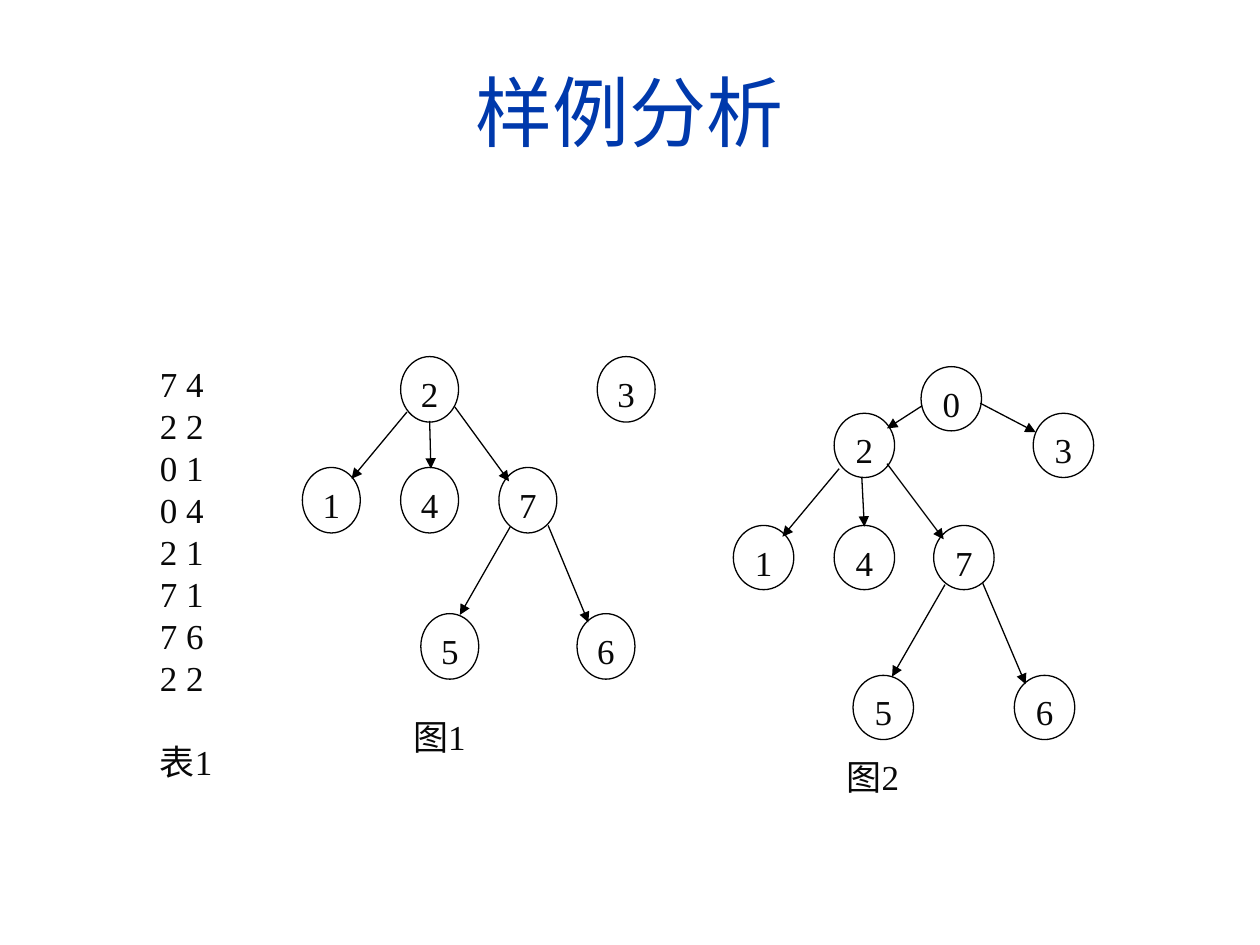
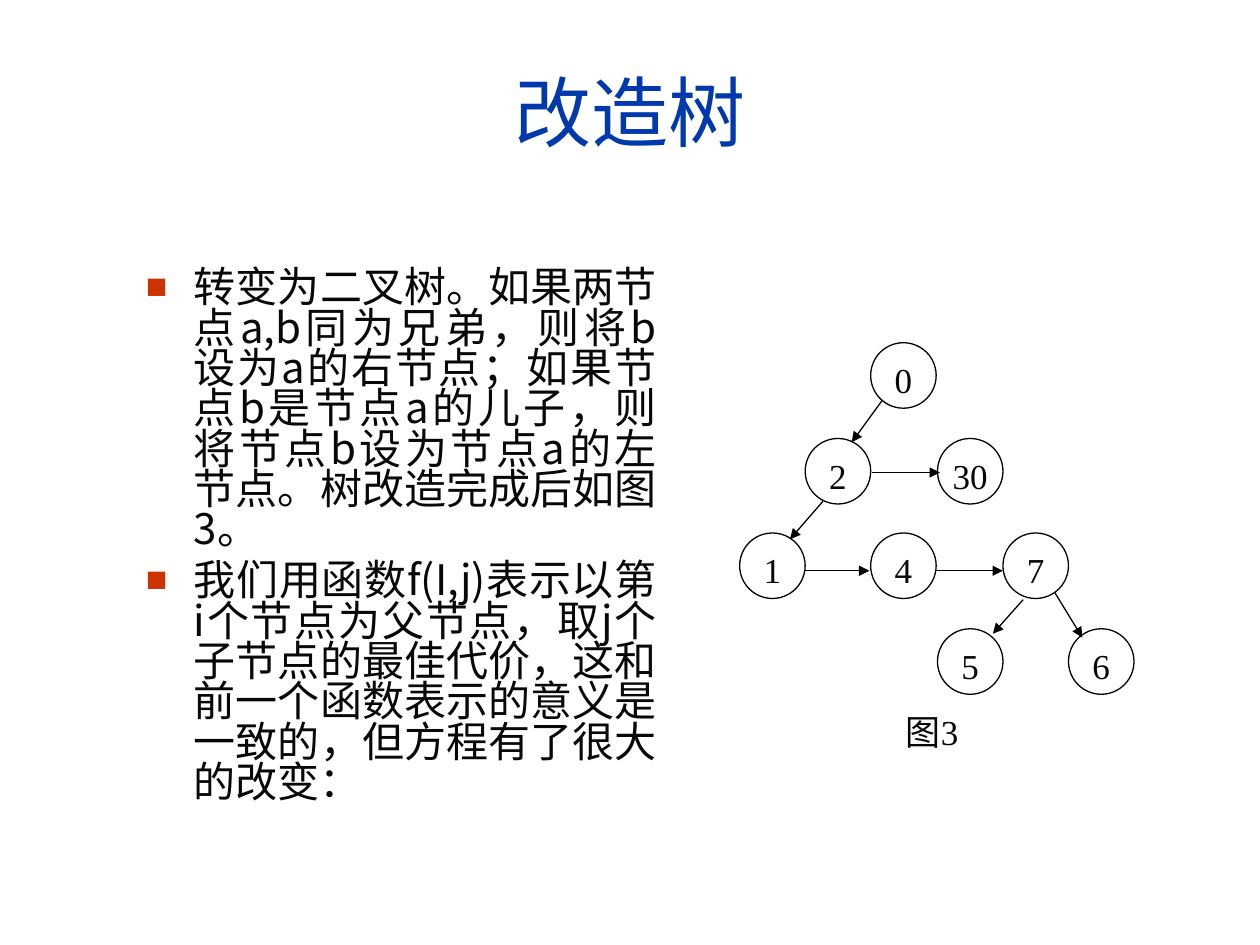
from lxml import etree
from pptx import Presentation
from pptx import util as u
from pptx.dml.color import RGBColor
from pptx.enum import shapes, text
from pptx.oxml.ns import qn

PX = 9144
HUES = {"title": "0039AC", "ink": "080808", "line": "000000", "node": "FFFFFF", "mark": "CC3300"}
CJK = "Noto Sans CJK SC"
ROMAN = "Times New Roman"
JUST = text.PP_ALIGN.JUSTIFY
MID = text.PP_ALIGN.CENTER


def put(slide, box, words, oval=False, font=ROMAN, size=20, hue="ink", align=JUST,
        anchor=text.MSO_ANCHOR.TOP, pitch=None):
    spot = [round(n) * PX for n in box]
    if oval:
        shape = slide.shapes.add_shape(shapes.MSO_SHAPE.OVAL, *spot)
        shape.shadow.inherit = False
        shape.fill.solid()
        shape.fill.fore_color.rgb = RGBColor.from_string(HUES["node"])
        shape.line.color.rgb = RGBColor.from_string(HUES["line"])
        shape.line.width = u.Pt(0.75)
        shape.text_frame.margin_left = shape.text_frame.margin_right = 0
    else:
        shape = slide.shapes.add_textbox(*spot)
    frame = shape.text_frame
    frame.word_wrap = not oval
    frame.vertical_anchor = anchor
    frame.text = words
    for para in frame.paragraphs:
        para.alignment = align
        para.line_spacing = pitch
        for run in para.runs:
            run.font.name = font
            run.font.size = u.Pt(size)
            run.font.color.rgb = RGBColor.from_string(HUES[hue])
            etree.SubElement(run.font._element, qn("a:ea"), typeface=CJK)
    return frame


def draw(slide, nodes, links, grid, size):
    left, top, wide, high = grid
    spots = {}
    for name, (col, row) in nodes.items():
        spots[name] = left + col * wide, top + row * high
        put(slide, (*spots[name], *size), name, oval=True, align=MID)
    for (start, end), (dx, dy, ex, ey) in links.items():
        (ax, ay), (bx, by) = spots[start], spots[end]
        ends = [round(n) * PX for n in (ax + dx, ay + dy, bx + ex, by + ey)]
        link = slide.shapes.add_connector(shapes.MSO_CONNECTOR.STRAIGHT, *ends)
        link.line.color.rgb = RGBColor.from_string(HUES["line"])
        link.line.width = u.Pt(0.75)
        etree.SubElement(link.line._get_or_add_ln(), qn("a:tailEnd"), type="triangle")
        etree.SubElement(link._element.spPr, qn("a:effectLst"))


deck = Presentation()
deck.slide_width = 1000 * PX
deck.slide_height = 750 * PX
pages = []
for title, font in (("样例分析", "Arial"), ("改造树", CJK)):
    page = deck.slides.add_slide(deck.slide_layouts[6])
    put(page, (33, 25, 934, 125), title, font=font, size=44, hue="title",
        align=MID, anchor=text.MSO_ANCHOR.MIDDLE)
    pages.append(page)
first, second = pages

rows = ["7 4", "2 2", "0 1", "0 4", "2 1", "7 1", "7 6", "2 2", "表1"]
table = put(first, (117, 283, 83, 341), "\n".join(rows))
table.paragraphs[-1].space_before = u.Pt(24)

nodes = {"2": (5, 0), "1": (0, 3), "5": (6, 7), "7": (10, 3),
         "3": (15, 0), "4": (5, 3), "6": (14, 7)}
links = {("2", "1"): (5, 44, 39, 9), ("2", "4"): (23, 51, 24, 1),
         ("2", "7"): (43, 40, 8, 11), ("7", "5"): (9, 47, 31, 1),
         ("7", "6"): (39, 46, 9, 7)}
draw(first, nodes, links, (240, 283, 15.6, 29.2), (46, 52))
put(first, (318, 563, 124, 49), "图1")

rooted = nodes | {"0": (9.4, -1.25)}
joined = links | {("0", "2"): (1, 31, 42, 12), ("0", "3"): (47, 29, 2, 15)}
draw(first, rooted, joined, (582, 328, 15.9, 29.7), (48, 51))
put(first, (662, 595, 127, 46), "图2")

points = [
    "转变为二叉树。如果两节点a,b同为兄弟，则将b设为a的右节点；如果节点b是节点a的儿子，则将节点b设为节点a的左节点。树改造完成后如图3。",
    "我们用函数f(I,j)表示以第i个节点为父节点，取j个子节点的最佳代价，这和前一个函数表示的意义是一致的，但方程有了很大的改变：",
]
body = put(second, (106, 210, 425, 450), "\n".join(points), font=CJK, size=24, pitch=0.8)
for para in body.paragraphs:
    props = para._p.get_or_add_pPr()
    props.set("marL", str(38 * PX))
    props.set("indent", str(-38 * PX))
    props.set("hangingPunct", "0")
    tint = etree.SubElement(props, qn("a:buClr"))
    etree.SubElement(tint, qn("a:srgbClr"), val=HUES["mark"])
    etree.SubElement(props, qn("a:buSzPct"), val="85000")
    etree.SubElement(props, qn("a:buFont"), typeface="Arial")
    etree.SubElement(props, qn("a:buChar"), char="■")
body.paragraphs[1].space_before = u.Pt(6)

nodes = {"0": (2, 0), "2": (1, 1), "30": (3, 1), "1": (0, 2),
         "4": (2, 2), "7": (4, 2), "6": (5, 3), "5": (3, 3)}
links = {("0", "2"): (9, 46, 37, 3), ("2", "30"): (53, 27, 2, 27),
         ("2", "1"): (14, 50, 40, 5), ("1", "4"): (52, 30, -1, 30),
         ("4", "7"): (52, 30, 0, 30), ("7", "5"): (16, 53, 44, 4),
         ("7", "6"): (41, 47, 11, 7)}
draw(second, nodes, links, (587, 272, 52.2, 75.6), (52, 52))
put(second, (709, 559, 87, 45), "图3")

deck.save("out.pptx")
